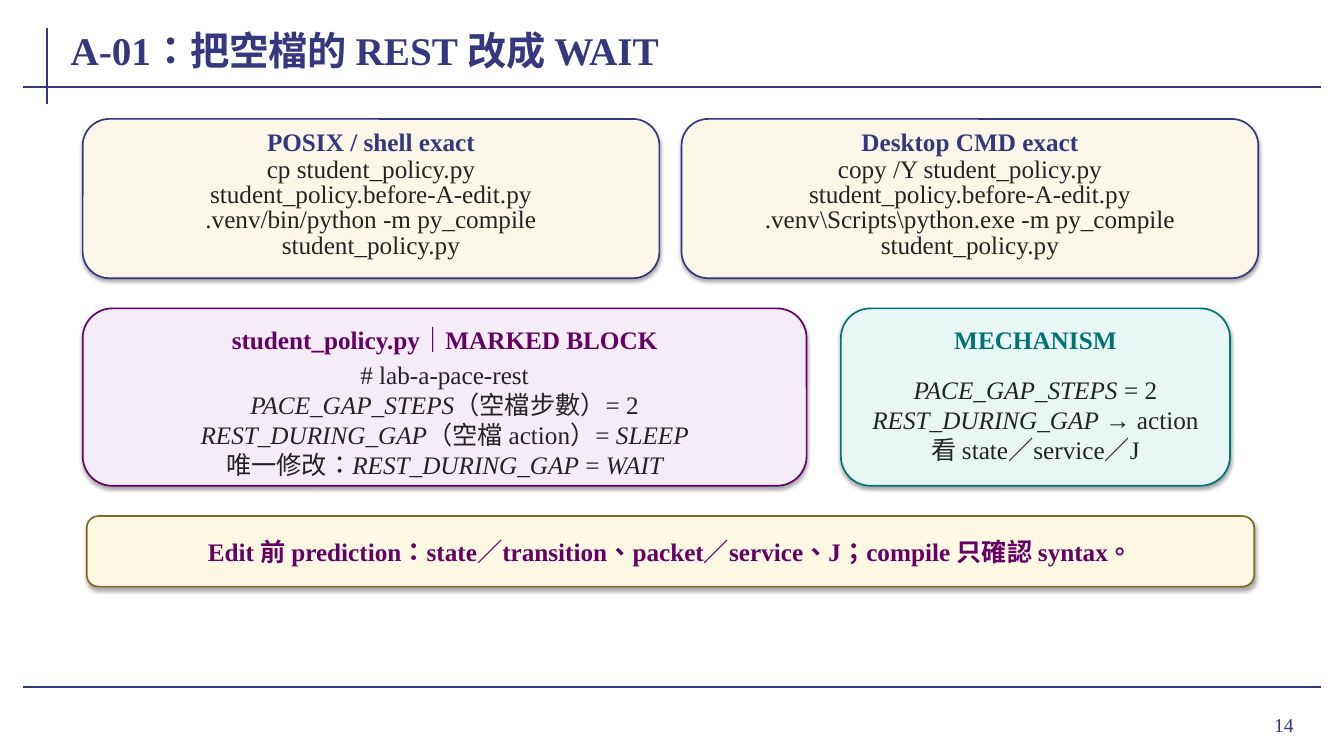
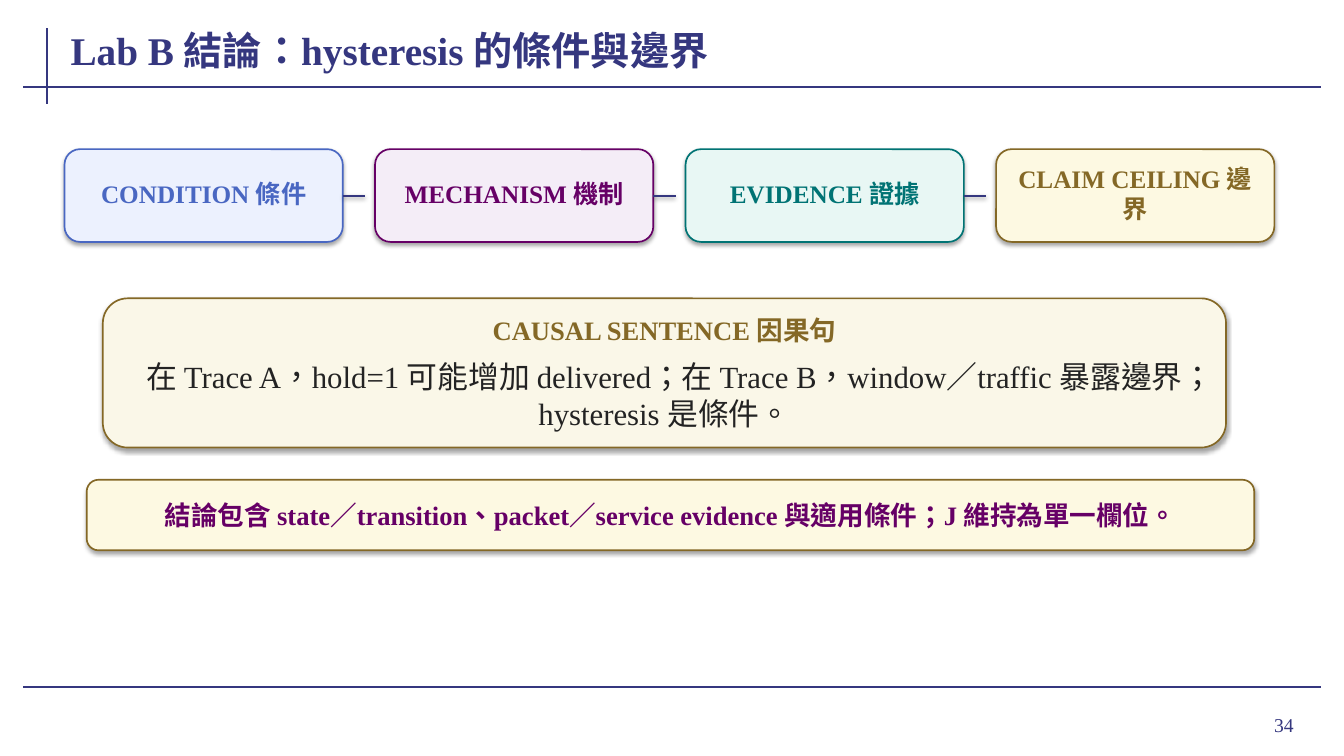
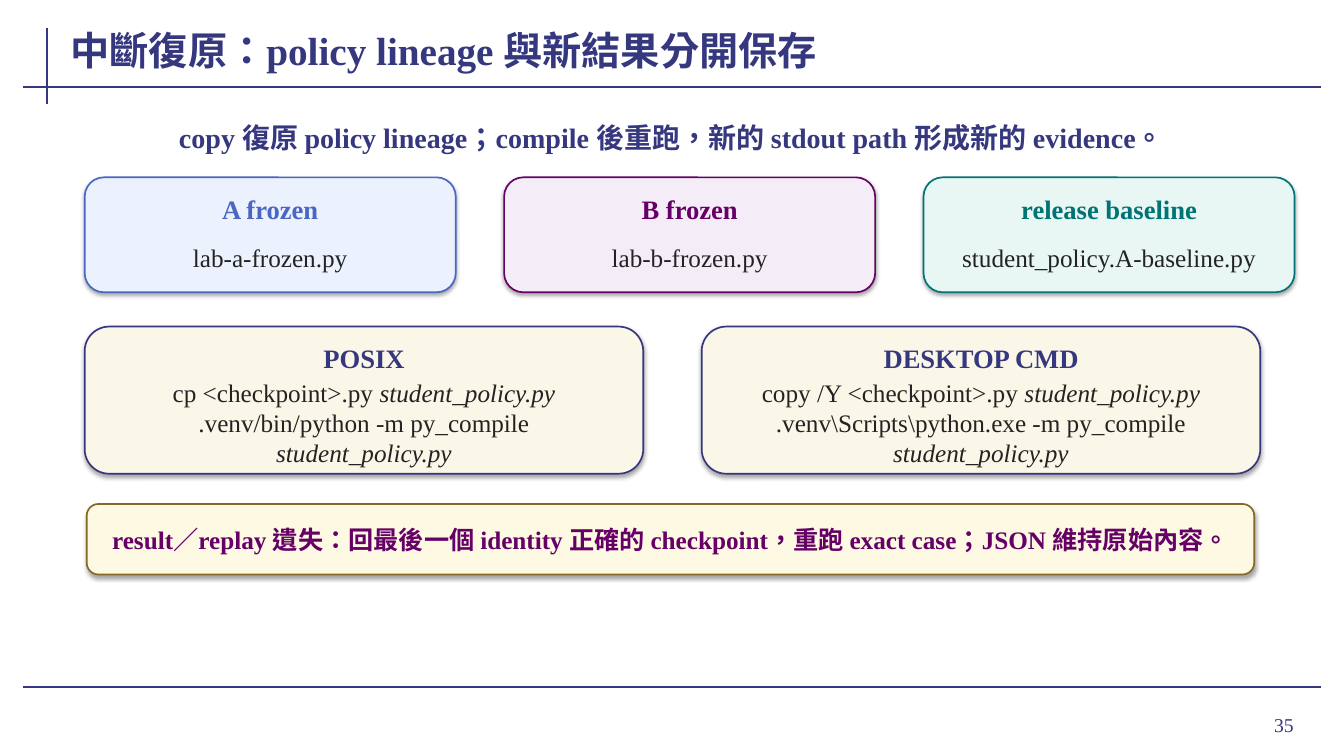
import pptx
import pptx.util
import pptx.dml.color
import pptx.enum.lang
import pptx.enum.shapes
import pptx.enum.text
import pptx.oxml

PX = 9144  # one px is a hundredth of an inch
FONT = "Times New Roman"
COLORS = {
    "navy": "35377F", "blue": "4967C2", "purple": "660066", "teal": "007374",
    "brown": "846826", "ink": "232323", "ivory": "FAF7E8", "pale_blue": "ECF1FE",
    "lilac": "F4EDF7", "mint": "E8F7F4", "cream": "FDF9E2",
}
RGB = {name: pptx.dml.color.RGBColor.from_string(code) for name, code in COLORS.items()}
ALIGN = pptx.enum.text.PP_ALIGN
CHINESE = pptx.enum.lang.MSO_LANGUAGE_ID.TRADITIONAL_CHINESE
STRAIGHT = pptx.enum.shapes.MSO_CONNECTOR.STRAIGHT
ROUNDED = pptx.enum.shapes.MSO_SHAPE.ROUNDED_RECTANGLE
SHADOW = (
    '<a:effectLst xmlns:a="http://schemas.openxmlformats.org/drawingml/2006/main">'
    '<a:outerShdw blurRad="39400" dist="%d" dir="5400000" rotWithShape="0">'
    '<a:srgbClr val="000000"><a:alpha val="%d"/></a:srgbClr></a:outerShdw></a:effectLst>'
)
NO_SHADOW = '<a:effectLst xmlns:a="http://schemas.openxmlformats.org/drawingml/2006/main"/>'


def add_text(page, at, lines, size, color, bold=False, align=ALIGN.CENTER, inset=(1, 0), grow=True):
    """Write one paragraph per line; parts between asterisks are italic."""
    box = page.shapes.add_textbox(*[value * PX for value in at])
    frame = box.text_frame
    frame.word_wrap = True
    frame.vertical_anchor = pptx.enum.text.MSO_ANCHOR.MIDDLE
    if grow:
        frame.auto_size = pptx.enum.text.MSO_AUTO_SIZE.SHAPE_TO_FIT_TEXT
    frame.margin_left = frame.margin_right = inset[0] * PX
    frame.margin_top = frame.margin_bottom = inset[1] * PX
    for row, line in enumerate(lines):
        para = frame.add_paragraph() if row else frame.paragraphs[0]
        para.alignment = align
        for part, text in enumerate(line.split("*")):
            if text:
                span = para.add_run()
                span.text = text
                span.font.name = FONT
                span.font.size = pptx.util.Pt(size)
                span.font.bold = bold
                span.font.italic = part % 2 == 1
                span.font.language_id = CHINESE
                span.font.color.rgb = RGB[color]


def add_panel(page, at, fill, line):
    panel = page.shapes.add_shape(ROUNDED, *[value * PX for value in at])
    panel.fill.solid()
    panel.fill.fore_color.rgb = RGB[fill]
    panel.line.color.rgb = RGB[line]
    panel.line.width = pptx.util.Pt(1.2)
    panel._element.spPr.append(pptx.oxml.parse_xml(SHADOW % (22900, 35000)))
    return panel


deck = pptx.Presentation()
deck.slide_width = 1333 * PX
deck.slide_height = 750 * PX

# Number, title, banner top, banner size and banner text of each slide
PAGES = [
    (14, "A-01：把空檔的 REST 改成 WAIT", 512, 18,
     "Edit 前 prediction：state／transition、packet／service、J；compile 只確認 syntax。"),
    (34, "Lab B 結論：hysteresis 的條件與邊界", 476, 19,
     "結論包含 state／transition、packet／service evidence 與適用條件；J 維持為單一欄位。"),
    (35, "中斷復原：policy lineage 與新結果分開保存", 500, 18,
     "result／replay 遺失：回最後一個 identity 正確的 checkpoint，重跑 exact case；JSON 維持原始內容。"),
]
RULES = [(47, 28, 47, 103), (23, 86, 1310, 86), (23, 682, 1310, 682)]

pages = []
for number, title, banner_top, banner_size, banner in PAGES:
    page = deck.slides.add_slide(deck.slide_layouts[6])
    pages.append(page)
    for ends in RULES:
        rule = page.shapes.add_connector(STRAIGHT, *[value * PX for value in ends])
        rule.line.color.rgb = RGB["navy"]
        rule.line.width = pptx.util.Pt(1.5)
        rule._element.spPr.append(pptx.oxml.parse_xml(NO_SHADOW))
    add_text(page, (1196, 693, 97, 52), [str(number)], 14, "navy",
             align=ALIGN.RIGHT, inset=(10, 5), grow=False)
    add_text(page, (68, 18, 1195, 62), [title], 28, "navy", True, ALIGN.LEFT, (2, 0), False)
    add_panel(page, (86, banner_top, 1158, 70), "cream", "brown")
    add_text(page, (104, banner_top + 7, 1122, 56), [banner], banner_size, "purple", True, inset=(2, 0))
edit_page, conclusion_page, recovery_page = pages

# Command panels: one text box per command line
COMMANDS = [
    (82, "POSIX / shell exact",
     ["cp student_policy.py", "student_policy.before-A-edit.py",
      ".venv/bin/python -m py_compile", "student_policy.py"]),
    (676, "Desktop CMD exact",
     ["copy /Y student_policy.py", "student_policy.before-A-edit.py",
      ".venv\\Scripts\\python.exe -m py_compile", "student_policy.py"]),
]
for left, heading, lines in COMMANDS:
    add_panel(edit_page, (left, 118, 572, 158), "ivory", "navy")
    add_text(edit_page, (left + 18, 128, 536, 24), [heading], 18, "navy", True)
    for row, line in enumerate(lines):
        add_text(edit_page, (left + 16, 156 + 25 * row, 540, 22), [line], 18, "ink")

# Chain of four steps, each joined to a short line on its right
STEPS = [
    ("CONDITION 條件", "pale_blue", "blue"),
    ("MECHANISM 機制", "lilac", "purple"),
    ("EVIDENCE 證據", "mint", "teal"),
    ("CLAIM CEILING 邊界", "cream", "brown"),
]
for column, (label, fill, color) in enumerate(STEPS):
    left = 64 + 308 * column
    step = add_panel(conclusion_page, (left, 148, 276, 92), fill, color)
    add_text(conclusion_page, (left + 10, 164, 256, 56), [label], 18, color, True)
    if column < len(STEPS) - 1:
        link = conclusion_page.shapes.add_connector(
            STRAIGHT, (left + 276) * PX, 194 * PX, (left + 298) * PX, 194 * PX)
        link.begin_connect(step, 3)
        link.line.color.rgb = RGB["navy"]
        link.line.width = pptx.util.Pt(1.4)
        link._element.spPr.append(pptx.oxml.parse_xml(SHADOW % (20300, 38000)))

# Lead sentence of the recovery slide
add_text(recovery_page, (88, 118, 1156, 36),
         ["copy 復原 policy lineage；compile 後重跑，新的 stdout path 形成新的 evidence。"],
         20, "navy", True, inset=(8, 4))

# Cards: page, place, fill, accent, heading size, heading, body size, body lines
CARDS = [
    (edit_page, (82, 306, 718, 176), "lilac", "purple", 18, "student_policy.py｜MARKED BLOCK", 18,
     ["# lab-a-pace-rest", "*PACE_GAP_STEPS*（空檔步數）= 2",
      "*REST_DURING_GAP*（空檔 action）= *SLEEP*", "唯一修改：*REST_DURING_GAP* = *WAIT*"]),
    (edit_page, (834, 306, 386, 176), "mint", "teal", 18, "MECHANISM", 18,
     ["*PACE_GAP_STEPS* = 2", "*REST_DURING_GAP* → action", "看 state／service／J"]),
    (conclusion_page, (102, 296, 1114, 148), "ivory", "brown", 19, "CAUSAL SENTENCE 因果句", 22,
     ["在 Trace A，hold=1 可能增加 delivered；在 Trace B，window／traffic 暴露邊界；hysteresis 是條件。"]),
    (recovery_page, (84, 324, 554, 146), "ivory", "navy", 19, "POSIX", 18,
     ["cp <checkpoint>.py *student_policy.py*",
      ".venv/bin/python -m py_compile *student_policy.py*"]),
    (recovery_page, (696, 324, 554, 146), "ivory", "navy", 19, "DESKTOP CMD", 18,
     ["copy /Y <checkpoint>.py *student_policy.py*",
      ".venv\\Scripts\\python.exe -m py_compile *student_policy.py*"]),
]
CHECKPOINTS = [
    ("A frozen", "lab-a-frozen.py", "pale_blue", "blue"),
    ("B frozen", "lab-b-frozen.py", "lilac", "purple"),
    ("release baseline", "student_policy.A-baseline.py", "mint", "teal"),
]
for column, (heading, name, fill, color) in enumerate(CHECKPOINTS):
    place = (84 + 416 * column, 176, 368, 114)
    CARDS.append((recovery_page, place, fill, color, 19, heading, 18, [name]))

for page, place, fill, color, heading_size, heading, body_size, body in CARDS:
    left, top, width, height = place
    add_panel(page, place, fill, color)
    add_text(page, (left + 18, top + 16, width - 36, 30), [heading], heading_size, color, True)
    add_text(page, (left + 20, top + 58, width - 40, height - 72), body, body_size, "ink", inset=(8, 4))

deck.save("out.pptx")
